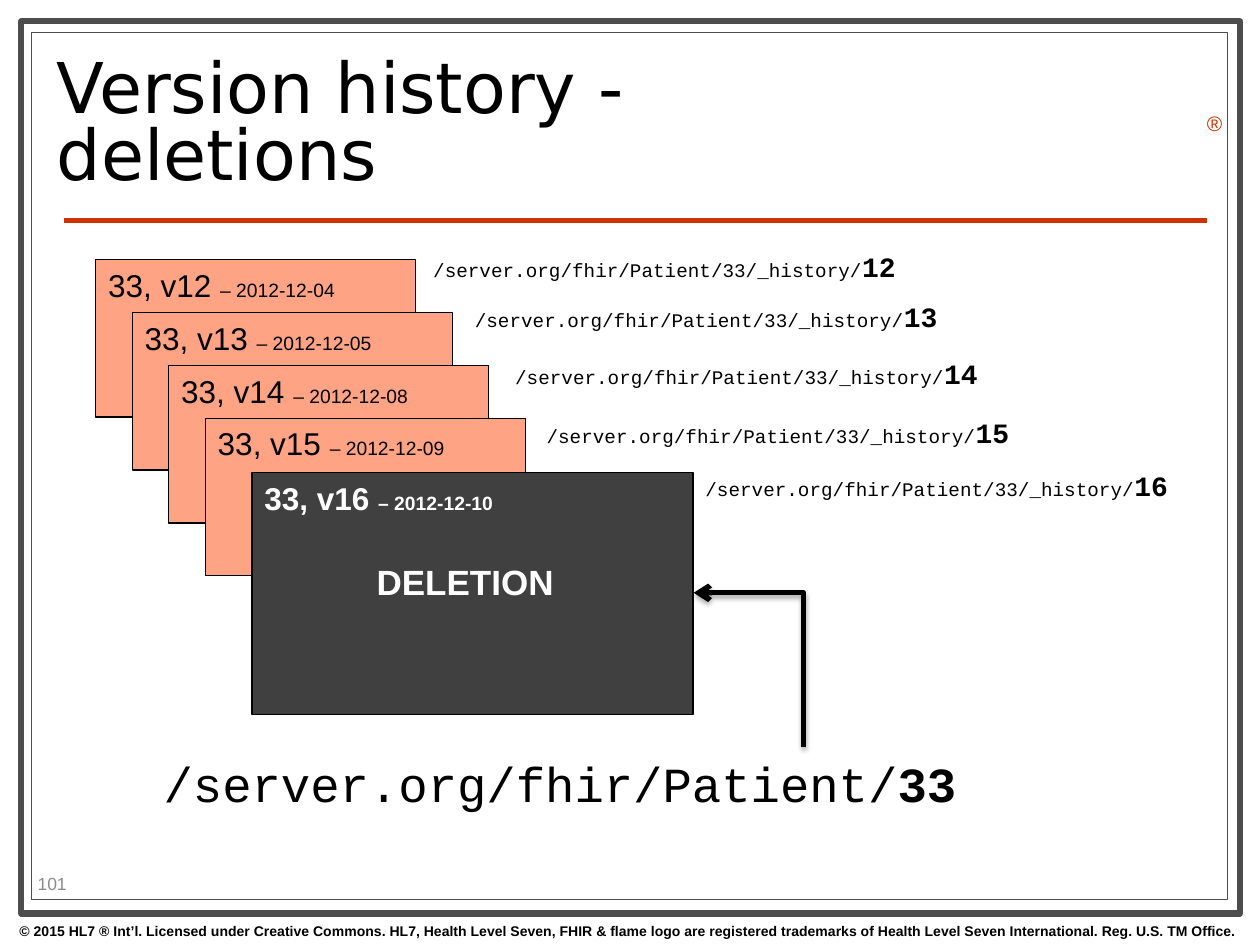
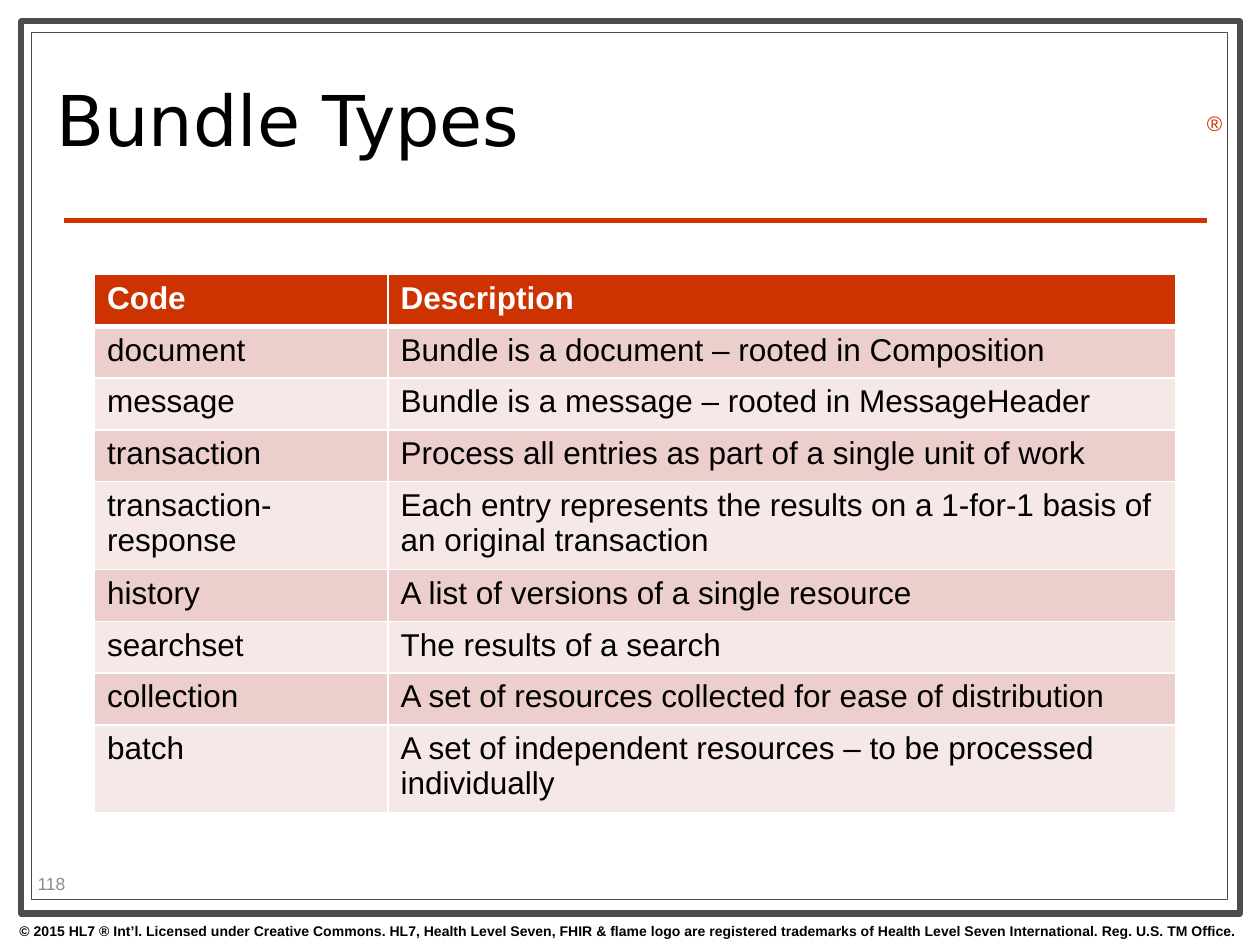
from dataclasses import dataclass

from lxml.etree import SubElement
from pptx import Presentation
from pptx.dml.color import RGBColor
from pptx.enum.shapes import MSO_CONNECTOR, MSO_SHAPE
from pptx.enum.text import MSO_ANCHOR, MSO_AUTO_SIZE, PP_ALIGN
from pptx.oxml import parse_xml
from pptx.oxml.ns import nsdecls, qn
from pptx.util import Inches, Pt


@dataclass(frozen=True)
class Theme:
    sans: str = "Arial"
    mono: str = "Courier New"
    heading: str = "DejaVu Sans"
    black: RGBColor = RGBColor.from_string("000000")
    white: RGBColor = RGBColor.from_string("FFFFFF")
    red: RGBColor = RGBColor.from_string("CC3300")
    frame: RGBColor = RGBColor.from_string("4D4D4D")
    number: RGBColor = RGBColor.from_string("8C8C8C")
    card: RGBColor = RGBColor.from_string("FFA385")
    deleted: RGBColor = RGBColor.from_string("404040")
    odd_row: RGBColor = RGBColor.from_string("ECCECC")
    even_row: RGBColor = RGBColor.from_string("F6E8E7")
    title_size: int = 40
    address_size: int = 28
    stamp_size: int = 20
    body_size: int = 18
    version_size: int = 16
    mark_size: int = 12
    detail_size: int = 11
    number_size: int = 10
    footer_size: int = 8


theme = Theme()
presentation = Presentation()
presentation.slide_width = Inches(10)
presentation.slide_height = Inches(7.5)


def share(*percents):
    """Turn alternating horizontal and vertical percentages of the slide into lengths."""
    sides = (presentation.slide_width, presentation.slide_height)
    return [int(sides[index % 2] * percent / 100) for index, percent in enumerate(percents)]


def write(paragraph, runs, color=theme.black, font=theme.sans, align=PP_ALIGN.LEFT):
    """Fill a paragraph with (text, size, bold) runs of one font and colour."""
    paragraph.alignment = align
    paragraph.font.name = font
    paragraph.font.color.rgb = color
    for text, size, bold in runs:
        run = paragraph.add_run()
        run.text = text
        if len(runs) == 1:
            paragraph.font.size, paragraph.font.bold = Pt(size), bold
        else:
            run.font.size, run.font.bold = Pt(size), bold


# Shared layout: frames, rule, copyright line and title position
layout = presentation.slide_layouts[5]
title_area = layout.placeholders[0]
title_area.left, title_area.top, title_area.width, title_area.height = share(3.5, 4.8, 71.7, 17.2)
title_area.text_frame.vertical_anchor = MSO_ANCHOR.MIDDLE
title_area.text_frame.auto_size = MSO_AUTO_SIZE.NONE

slides = []
for title, number in (("Version history - deletions", "101"), ("Bundle Types", "118")):
    slide = presentation.slides.add_slide(layout)
    paragraph = slide.shapes.title.text_frame.paragraphs[0]
    write(paragraph, [(title, theme.title_size, False)], font=theme.heading)
    paragraph.line_spacing = 0.8
    number_box = slide.shapes.add_textbox(*share(2, 91.87, 7.9, 3.2))
    number_box.text_frame.word_wrap = True
    number_box.text_frame.vertical_anchor = MSO_ANCHOR.MIDDLE
    write(number_box.text_frame.paragraphs[0], [(number, theme.number_size, False)], theme.number)
    slides.append(slide)
history_slide, bundle_slide = slides

shared_shapes = []
for area, weight in ((share(1.7, 2.27, 96.7, 94.4), 3.5), (share(2.5, 3.47, 94.9, 91.73), 0.75)):
    frame = history_slide.shapes.add_shape(MSO_SHAPE.RECTANGLE, *area)
    frame.shadow.inherit = False
    frame.fill.solid()
    frame.fill.fore_color.rgb = theme.white
    frame.line.color.rgb = theme.frame
    frame.line.width = Pt(weight)
    shared_shapes.append(frame)

rule = history_slide.shapes.add_connector(MSO_CONNECTOR.STRAIGHT, *share(5.1, 23.33, 95.8, 23.33))
rule.line.color.rgb = theme.red
rule.line.width = Pt(3)
SubElement(rule.element.spPr, qn("a:effectLst"))
shared_shapes.append(rule)

copyright_line = (
    "© 2015 HL7 ® Int’l. Licensed under Creative Commons. HL7, Health Level Seven, FHIR & flame logo "
    "are registered trademarks of Health Level Seven International. Reg. U.S. TM Office."
)
for area, run, color, align in (
    (share(-0.1, 96.93, 100, 3.07), (copyright_line, theme.footer_size, True), theme.black, PP_ALIGN.CENTER),
    (share(94.8, 11.07, 3.1, 4), ("®", theme.mark_size, False), theme.red, PP_ALIGN.LEFT),
):
    label = history_slide.shapes.add_textbox(*area)
    label.text_frame.word_wrap = True
    write(label.text_frame.paragraphs[0], [run], color, align=align)
    shared_shapes.append(label)

for shape in shared_shapes:
    layout.shapes.element.append(shape.element)

# Version history: overlapping cards, each with its address
versions = [
    (12, "2012-12-04", share(33.4, 25.73, 50, 4.93)),
    (13, "2012-12-05", share(36.7, 31.07, 52.5, 4.93)),
    (14, "2012-12-08", share(39.9, 37.07, 53.5, 4.93)),
    (15, "2012-12-09", share(42.4, 43.33, 53.6, 4.93)),
    (16, "2012-12-10", share(55, 48.93, 42.5, 4.93)),
]
addresses = [
    (area, "/server.org/fhir/Patient/33/_history/", theme.detail_size, str(version), theme.version_size)
    for version, date, area in versions
]
addresses.append(
    (share(12, 79.07, 68.8, 7.6), "/server.org/fhir/Patient/", theme.address_size, "33", theme.address_size)
)

for step, (version, date, address_area) in enumerate(versions):
    is_deletion = version == 16
    area = share(20, 50, 35, 25.6) if is_deletion else share(7.6 + 2.9 * step, 27.47 + 5.6 * step, 25.4, 16.67)
    card = history_slide.shapes.add_shape(MSO_SHAPE.RECTANGLE, *area)
    card.shadow.inherit = False
    card.fill.solid()
    card.fill.fore_color.rgb = theme.deleted if is_deletion else theme.card
    card.line.color.rgb = theme.black
    card.line.width = Pt(0.75)
    card.text_frame.vertical_anchor = MSO_ANCHOR.TOP
    text_color = theme.white if is_deletion else theme.black
    heading = [(f"33, v{version} ", theme.body_size, is_deletion), (f"– {date}", theme.detail_size, is_deletion)]
    write(card.text_frame.paragraphs[0], heading, text_color)

stamp = card.text_frame.add_paragraph()
stamp.space_before = Pt(25)
stamp._p.get_or_add_pPr().set("marL", str(Inches(0.89)))
write(stamp, [("DELETION", theme.stamp_size, True)], theme.white)

for area, address, address_size, ending, ending_size in addresses:
    address_box = history_slide.shapes.add_textbox(*area)
    address_box.text_frame.word_wrap = True
    runs = [(address, address_size, False), (ending, ending_size, True)]
    write(address_box.text_frame.paragraphs[0], runs, font=theme.mono)

# The current address points at the deleted version: one bend, turned a quarter
arrow = history_slide.shapes.add_connector(MSO_CONNECTOR.ELBOW, *share(53.3, 76.67, 65.5, 65.07))
arrow.line.color.rgb = theme.black
arrow.line.width = Pt(3)
arrow_properties = arrow.element.spPr
arrow_properties.find(qn("a:xfrm")).set("rot", str(270 * 60000))
arrow_properties.find(qn("a:prstGeom")).set("prst", "bentConnector2")
SubElement(arrow_properties.find(qn("a:ln")), qn("a:tailEnd"), type="arrow")
arrow_properties.append(parse_xml(
    f'<a:effectLst {nsdecls("a")}><a:outerShdw blurRad="{Pt(3.1)}" dist="{Pt(1.8)}" dir="5400000" '
    'rotWithShape="0"><a:srgbClr val="000000"><a:alpha val="35000"/></a:srgbClr></a:outerShdw></a:effectLst>'
))

# Bundle types table
bundle_types = [
    ("Code", "Description"),
    ("document", "Bundle is a document – rooted in Composition"),
    ("message", "Bundle is a message – rooted in MessageHeader"),
    ("transaction", "Process all entries as part of a single unit of work"),
    ("transaction-response", "Each entry represents the results on a 1-for-1 basis of an original transaction"),
    ("history", "A list of versions of a single resource"),
    ("searchset", "The results of a search"),
    ("collection", "A set of resources collected for ease of distribution"),
    ("batch", "A set of independent resources – to be processed individually"),
]
table_area = share(7.5, 29.07, 85.8, 5.47 * len(bundle_types))
table = bundle_slide.shapes.add_table(len(bundle_types), 2, *table_area).table
for column, percent in zip(table.columns, (23.3, 62.5)):
    column.width = share(percent)[0]

for row_index, texts in enumerate(bundle_types):
    is_header = row_index == 0
    row_fill = theme.red if is_header else (theme.even_row, theme.odd_row)[row_index % 2]
    for column_index, text in enumerate(texts):
        cell = table.cell(row_index, column_index)
        cell_properties = cell._tc.get_or_add_tcPr()
        for side in "LRTB":
            thick = (row_index, side) in ((0, "B"), (1, "T"))
            cell_properties.append(parse_xml(
                f'<a:ln{side} {nsdecls("a")} w="{Pt(3 if thick else 1)}"><a:solidFill>'
                f'<a:srgbClr val="{theme.white}"/></a:solidFill></a:ln{side}>'
            ))
        cell.fill.solid()
        cell.fill.fore_color.rgb = row_fill
        text_color = theme.white if is_header else theme.black
        write(cell.text_frame.paragraphs[0], [(text, theme.body_size, is_header)], text_color)

presentation.save("out.pptx")
